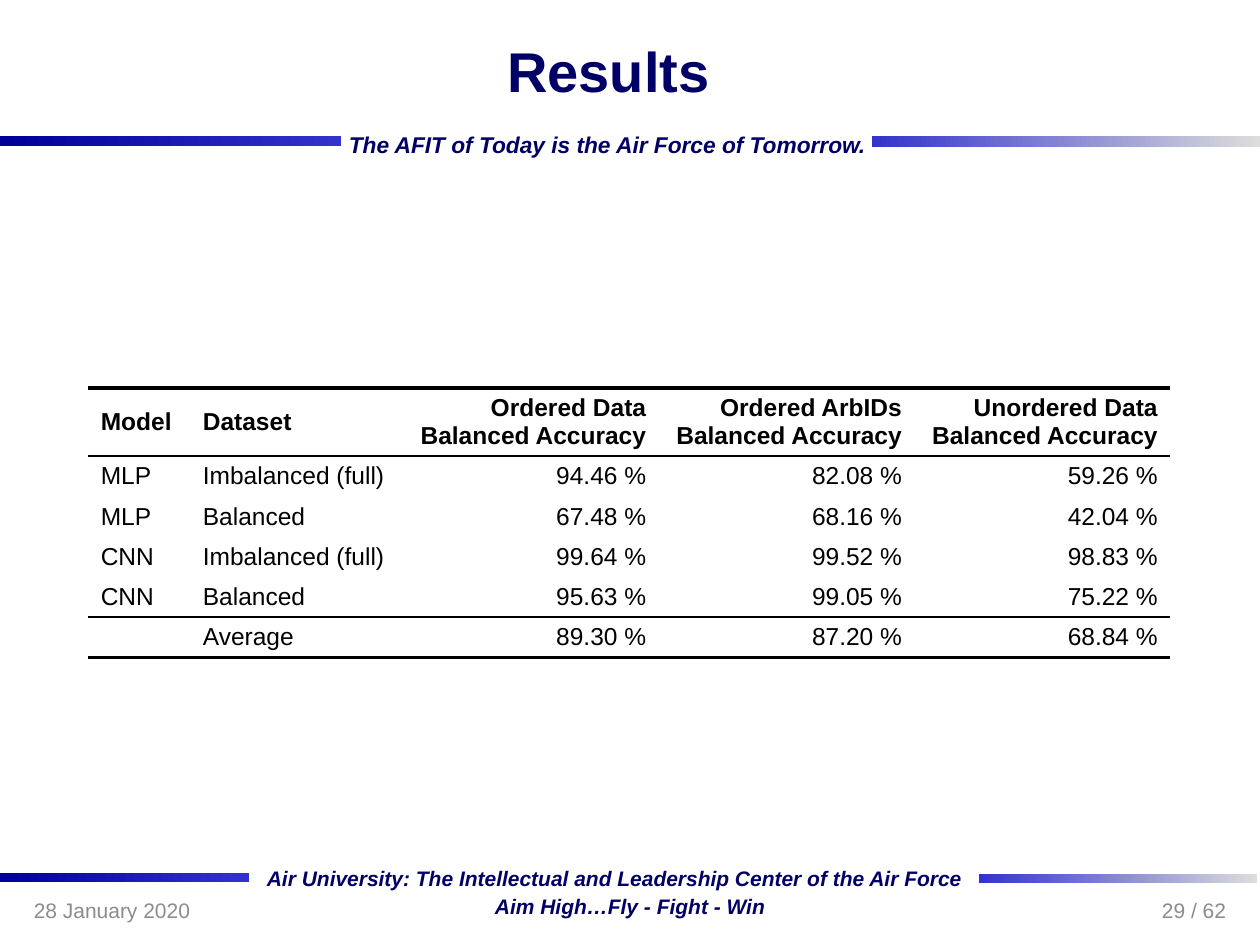
from lxml.etree import SubElement
from pptx import Presentation
from pptx.dml.color import RGBColor
from pptx.enum.shapes import MSO_SHAPE
from pptx.enum.text import MSO_ANCHOR, MSO_AUTO_SIZE, PP_ALIGN
from pptx.oxml.ns import qn
from pptx.util import Inches, Pt

COLORS = {
    "navy": "000066",
    "deep_blue": "000099",
    "blue": "3333CC",
    "silver": "DDDDDD",
    "gray": "8C8C8C",
    "black": "000000",
}
WIDTH, HEIGHT = 10, 7.5
FOOTER_TOP, FOOTER_WIDTH, FOOTER_HEIGHT = 7.02, 2.33, 0.4
FOOTER_MARGIN = 0.17

HEADER = ["Model", "Dataset"] + [
    f"{kind}\nBalanced Accuracy"
    for kind in ("Ordered Data", "Ordered ArbIDs", "Unordered Data")
]
RESULTS = [
    ("MLP", "Imbalanced (full)", "94.46 %", "82.08 %", "59.26 %"),
    ("MLP", "Balanced", "67.48 %", "68.16 %", "42.04 %"),
    ("CNN", "Imbalanced (full)", "99.64 %", "99.52 %", "98.83 %"),
    ("CNN", "Balanced", "95.63 %", "99.05 %", "75.22 %"),
    ("", "Average", "89.30 %", "87.20 %", "68.84 %"),
]
COLUMN_WIDTHS = [0.81, 1.69] + [2.03] * 3
ROW_HEIGHTS = [0.54] + [0.32] * len(RESULTS)
# Width in points of the rule above each row index; the last one closes the table.
RULES = {0: 2.25, 1: 1.5, 5: 1.5, 6: 2.25}


def color(name):
    return RGBColor.from_string(COLORS[name])


def box(left, top, width, height):
    return [Inches(length) for length in (left, top, width, height)]


def style_paragraph(paragraph, size, color_name, bold=False, italic=False,
                    align=PP_ALIGN.LEFT):
    paragraph.alignment = align
    font = paragraph.font
    font.name, font.size = "Arial", Pt(size)
    font.bold, font.italic = bold, italic
    font.color.rgb = color(color_name)


def add_gradient_bar(slide, bounds, start, end):
    bar = slide.shapes.add_shape(MSO_SHAPE.RECTANGLE, *box(*bounds))
    bar.shadow.inherit = False
    bar.line.fill.background()
    bar.fill.gradient()
    bar.fill.gradient_angle = 0
    for stop, name in zip(bar.fill.gradient_stops, (start, end)):
        stop.color.rgb = color(name)


def add_text(slide, bounds, text, size, color_name, **style):
    text_box = slide.shapes.add_textbox(*box(*bounds))
    frame = text_box.text_frame
    frame.word_wrap = True
    frame.vertical_anchor = MSO_ANCHOR.MIDDLE
    frame.text = text
    style_paragraph(frame.paragraphs[0], size, color_name, **style)
    return frame


def add_motto(slide, bounds, text, size):
    """Add a one-line slogan whose box fits its text."""
    frame = add_text(slide, bounds, text, size, "navy", bold=True, italic=True)
    frame.word_wrap = False
    frame.auto_size = MSO_AUTO_SIZE.SHAPE_TO_FIT_TEXT
    frame.vertical_anchor = MSO_ANCHOR.TOP


def set_borders(cell, row):
    """Draw the horizontal rules around a row and hide all other borders."""
    properties = cell._tc.get_or_add_tcPr()
    widths = (None, None, RULES.get(row), RULES.get(row + 1))
    for index, (side, width) in enumerate(zip("LRTB", widths)):
        line = SubElement(properties, qn(f"a:ln{side}"))
        properties.insert(index, line)
        if width is None:
            SubElement(line, qn("a:noFill"))
        else:
            line.set("w", str(Pt(width)))
            fill = SubElement(line, qn("a:solidFill"))
            SubElement(fill, qn("a:srgbClr"), val=COLORS["black"])


def fill_cell(cell, text, row, column):
    cell.text = text
    cell.vertical_anchor = MSO_ANCHOR.MIDDLE
    cell.margin_top = cell.margin_bottom = 0
    cell.fill.background()
    set_borders(cell, row)
    align = PP_ALIGN.LEFT if column < 2 else PP_ALIGN.RIGHT
    for paragraph in cell.text_frame.paragraphs:
        style_paragraph(paragraph, 14, "black", bold=row == 0, align=align)


def add_results_table(slide, left, top):
    rows = [HEADER, *RESULTS]
    table = slide.shapes.add_table(
        len(rows), len(HEADER),
        *box(left, top, sum(COLUMN_WIDTHS), sum(ROW_HEIGHTS))).table
    table.first_row = table.horz_banding = False
    for column, width in zip(table.columns, COLUMN_WIDTHS):
        column.width = Inches(width)
    for row, height in zip(table.rows, ROW_HEIGHTS):
        row.height = Inches(height)
    for row, texts in enumerate(rows):
        for column, text in enumerate(texts):
            fill_cell(table.cell(row, column), text, row, column)


def add_bands(slide):
    """Add the gradient bars and slogans under the title and above the footer."""
    add_gradient_bar(slide, (0, 6.93, 1.98, 0.07), "deep_blue", "blue")
    add_gradient_bar(slide, (7.77, 6.94, 2.21, 0.07), "blue", "silver")
    add_gradient_bar(slide, (0, 1.08, 2.71, 0.08), "deep_blue", "blue")
    add_gradient_bar(slide, (6.92, 1.08, 3.08, 0.09), "blue", "silver")
    add_motto(slide, (2.02, 6.82, 5.76, 0.29),
              "Air University: The Intellectual and Leadership Center of the Air Force", 12)
    add_motto(slide, (3.83, 7.04, 2.36, 0.29), "Aim High…Fly - Fight - Win", 12)
    add_motto(slide, (2.67, 0.99, 4.35, 0.31),
              "The AFIT of Today is the Air Force of Tomorrow.", 13)


def add_footer(slide):
    right = WIDTH - FOOTER_MARGIN - FOOTER_WIDTH
    for left, text, align in ((FOOTER_MARGIN, "28 January 2020", PP_ALIGN.LEFT),
                              (right, "29 / 62", PP_ALIGN.RIGHT)):
        add_text(slide, (left, FOOTER_TOP, FOOTER_WIDTH, FOOTER_HEIGHT),
                 text, 12, "gray", align=align)


def main():
    presentation = Presentation()
    presentation.slide_width = Inches(WIDTH)
    presentation.slide_height = Inches(HEIGHT)
    slide = presentation.slides.add_slide(presentation.slide_layouts[6])
    add_bands(slide)
    add_text(slide, (0.58, 0, 8.5, 1.12), "Results", 32, "navy",
             bold=True, align=PP_ALIGN.CENTER)
    add_results_table(slide, 0.7, 3.08)
    add_footer(slide)
    presentation.save("out.pptx")


if __name__ == "__main__":
    main()
